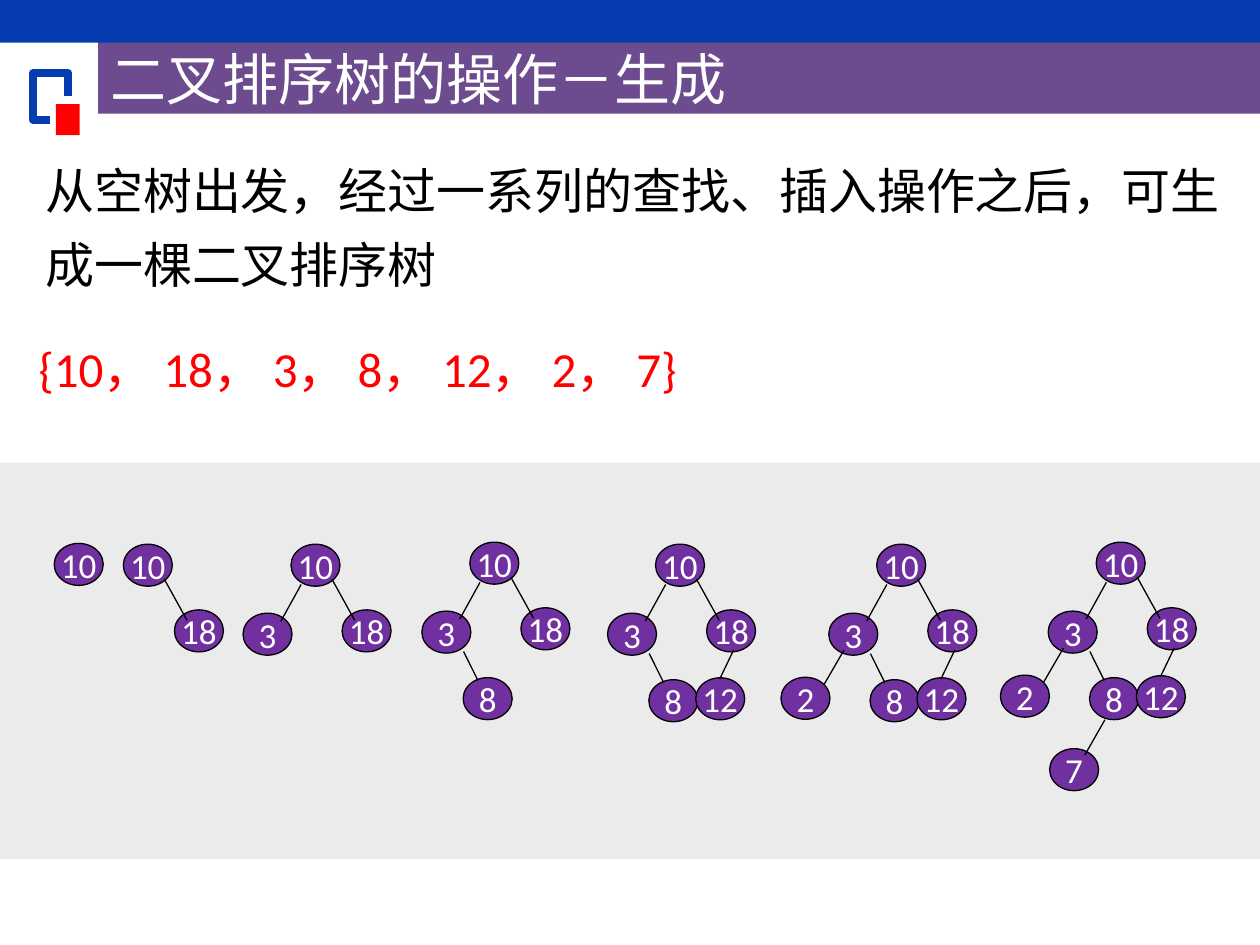
from dataclasses import dataclass

from lxml import etree
from pptx import Presentation
from pptx.dml.color import RGBColor
from pptx.enum import shapes, text
from pptx.oxml import ns
from pptx.util import Pt


@dataclass(frozen=True)
class Theme:
    font: str = "Calibri"
    blue: str = "053CAF"
    red: str = "FF0000"
    gray: str = "EBEBEB"
    plum: str = "6C4C8F"
    node: str = "7030A0"
    black: str = "000000"
    white: str = "FFFFFF"
    title: float = 32
    body: float = 28
    key: float = 20
    thin: float = 0.75
    thick: float = 4.5


THEME = Theme()
NODE_W, NODE_H = 28, 24

# Keys in order of insertion. Each has its node's offset from the root,
# then the two ends of the edge that joins it to its parent.
KEYS = {
    "10": ((0, 0), None),
    "18": ((29.2, 37.5), (23.4, 20, 36.4, 43.5)),
    "3": ((-27.4, 39.4), (5.8, 23, -5.8, 44)),
    "8": ((-3.8, 77.4), (-3.6, 62.5, 4.6, 79)),
    "12": ((23, 76.3), (44.6, 60.5, 36.7, 77)),
    "2": ((-54.7, 76), (-18.7, 60.5, -30, 80)),
    "7": ((-26.6, 118), (5, 101.5, -6.5, 121.7)),
}
# Left and top of each root: the n-th tree holds the first n keys.
ROOTS = [(31, 310.5), (70.5, 311), (166.3, 311), (268.5, 309.8),
         (374.6, 311), (501, 311), (626.4, 309.8)]


def color(code):
    return RGBColor.from_string(code)


def put_text(shape, words, size, tint, align=text.PP_ALIGN.LEFT,
             anchor=text.MSO_ANCHOR.MIDDLE, wrap=True):
    frame = shape.text_frame
    frame.auto_size = text.MSO_AUTO_SIZE.NONE
    frame.word_wrap = wrap
    frame.vertical_anchor = anchor
    para = frame.paragraphs[0]
    para.alignment = align
    run = para.add_run()
    run.text = words
    run.font.name = THEME.font
    run.font.size = Pt(size)
    run.font.color.rgb = color(tint)
    return frame


def add_box(parent, kind, box, fill):
    shape = parent.add_shape(kind, *map(Pt, box))
    shape.shadow.inherit = False
    shape.fill.solid()
    shape.fill.fore_color.rgb = color(fill)
    shape.line.fill.background()
    return shape


def add_rect(slide, box, fill):
    return add_box(slide.shapes, shapes.MSO_SHAPE.RECTANGLE, box, fill)


def add_label(slide, box, words, tint, anchor):
    label = slide.shapes.add_textbox(*map(Pt, box))
    return put_text(label, words, THEME.body, tint, anchor=anchor)


def add_node(parent, left, top, key):
    node = add_box(parent, shapes.MSO_SHAPE.OVAL,
                   (left, top, NODE_W, NODE_H), THEME.node)
    node.line.color.rgb = color(THEME.black)
    node.line.width = Pt(THEME.thin)
    put_text(node, key, THEME.key, THEME.white,
             align=text.PP_ALIGN.CENTER, wrap=False)


def add_edge(parent, ends):
    edge = parent.add_connector(shapes.MSO_CONNECTOR.STRAIGHT, *map(Pt, ends))
    edge.line.color.rgb = color(THEME.black)
    edge.line.width = Pt(THEME.thin)
    etree.SubElement(edge._element.spPr, ns.qn("a:effectLst"))


def add_tree(slide, root, count):
    """Draw the search tree made of the first count keys."""
    x, y = root
    parent = slide.shapes.add_group_shape().shapes if count > 1 else slide.shapes
    for key, (spot, ends) in list(KEYS.items())[:count]:
        add_node(parent, x + spot[0], y + spot[1], key)
        if ends:
            x1, y1, x2, y2 = ends
            add_edge(parent, (x + x1, y + y1, x + x2, y + y2))


def add_mark(slide):
    """Draw the open blue frame and the red block beside the title."""
    pen = slide.shapes.build_freeform(Pt(28.6), Pt(68.4))
    points = [(18.8, 68.4), (18.8, 41.8), (38.9, 41.8), (38.9, 54.7)]
    pen.add_line_segments([(Pt(x), Pt(y)) for x, y in points], close=False)
    frame = pen.convert_to_shape()
    frame.shadow.inherit = False
    frame.fill.background()
    frame.line.color.rgb = color(THEME.blue)
    frame.line.width = Pt(THEME.thick)
    add_rect(slide, (32, 59.5, 13.5, 17.8), THEME.red)


def set_title(slide, box, words):
    title = slide.shapes.title
    title.left, title.top, title.width, title.height = map(Pt, box)
    title.fill.solid()
    title.fill.fore_color.rgb = color(THEME.plum)
    put_text(title, words, THEME.title, THEME.white)


def main():
    deck = Presentation()
    deck.slide_width, deck.slide_height = Pt(720), Pt(540)
    slide = deck.slides.add_slide(deck.slide_layouts[5])

    set_title(slide, (56, 24, 664, 41), "二叉排序树的操作－生成")
    add_rect(slide, (0, 0, 720, 24.4), THEME.blue)
    add_mark(slide)
    add_rect(slide, (0, 264.3, 720, 226.7), THEME.gray)

    keys = add_label(slide, (2, 189.5, 599, 41),
                     "{" + "， ".join(KEYS) + "}",
                     THEME.red, text.MSO_ANCHOR.MIDDLE)
    keys.margin_left = Pt(20)
    for count, root in enumerate(ROOTS, 1):
        add_tree(slide, root, count)

    intro = add_label(slide, (18.8, 80, 696, 88),
                      "从空树出发，经过一系列的查找、插入操作之后，可生成一棵二叉排序树",
                      THEME.black, text.MSO_ANCHOR.TOP)
    intro.paragraphs[0].line_spacing = 1.25

    deck.save("out.pptx")


if __name__ == "__main__":
    main()
